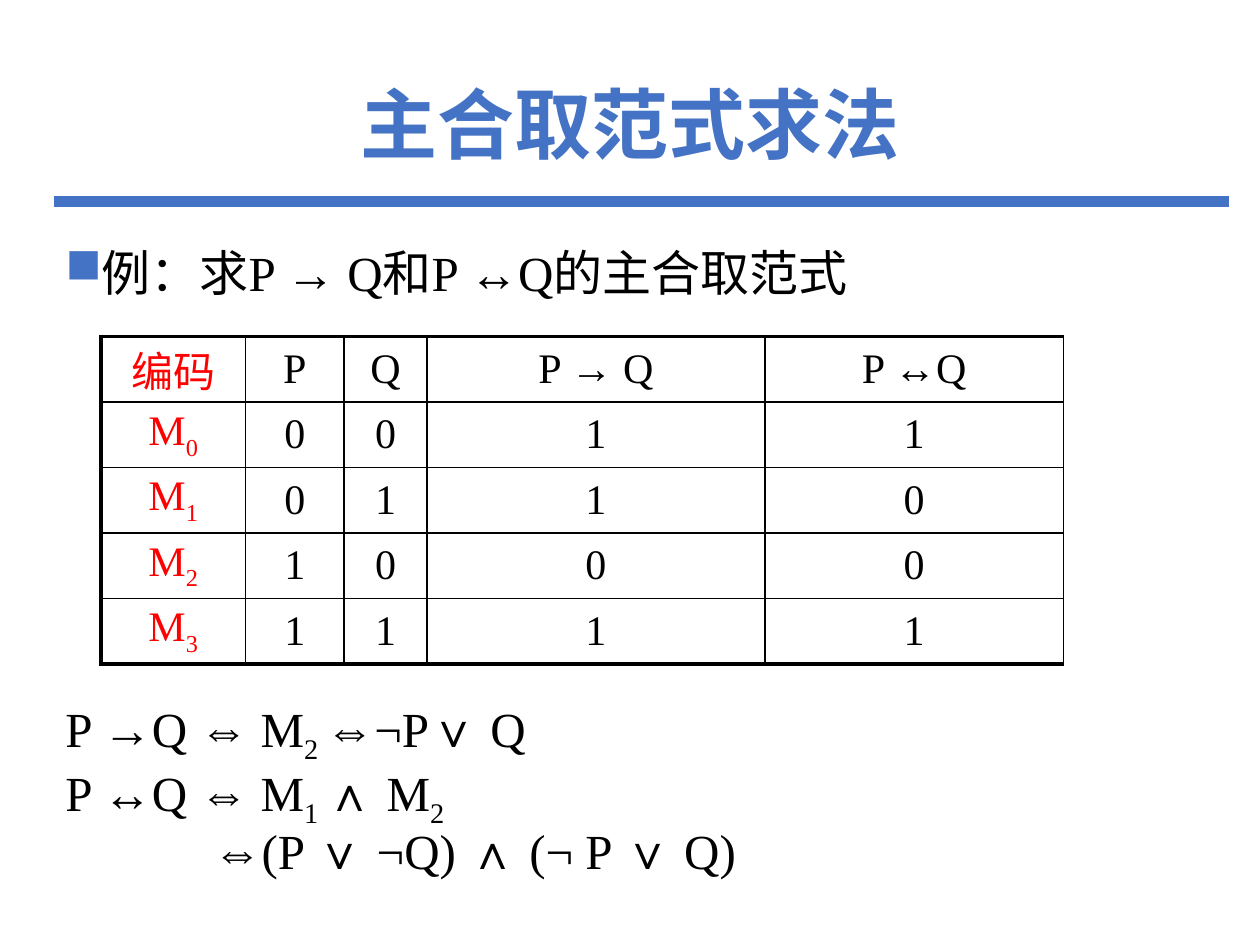
"""Build a slide on finding the principal conjunctive normal form from a truth table."""
import pptx
import pptx.dml.color
import pptx.enum.shapes
import pptx.enum.text
import pptx.oxml
import pptx.oxml.ns
import pptx.util
from pptx.util import Inches

COLORS = {"accent": "4472C4", "ink": "000000", "code": "FF0000"}
LATIN, CJK = "Times New Roman", "Noto Sans CJK SC"
CENTER = pptx.enum.text.PP_ALIGN.CENTER
MIDDLE = pptx.enum.text.MSO_ANCHOR.MIDDLE


def add_xml(parent, xml):
    """Append a DrawingML element given as text."""
    opening, rest = xml.split(" ", 1)
    parent.append(pptx.oxml.parse_xml(f'{opening} {pptx.oxml.ns.nsdecls("a")} {rest}'))


def write(paragraph, marked, size, color="ink", latin=LATIN, bold=False):
    """Fill a paragraph, setting the parts between bars as subscripts."""
    for position, part in enumerate(marked.split("|")):
        if not part:
            continue
        run = paragraph.add_run()
        run.text = part
        for name, value in {"size": pptx.util.Pt(size), "name": latin, "bold": bold}.items():
            setattr(run.font, name, value)
        run.font.color.rgb = pptx.dml.color.RGBColor.from_string(COLORS[color])
        properties = run._r.get_or_add_rPr()
        add_xml(properties, f'<a:ea typeface="{CJK}"/>')
        if position % 2:
            properties.set("baseline", "-25000")


deck = pptx.Presentation()
deck.slide_width, deck.slide_height = Inches(10), Inches(7.5)
slide = deck.slides.add_slide(deck.slide_layouts[5])

title = slide.shapes.title
title_place = {"left": 0.69, "top": 0.4, "width": 8.62, "height": 1.24}
for name, value in title_place.items():
    setattr(title, name, Inches(value))
title.text_frame.vertical_anchor = MIDDLE
heading = title.text_frame.paragraphs[0]
heading.alignment, heading.line_spacing = CENTER, 0.9
write(heading, "主合取范式求法", 44, "accent", CJK, True)

rule = slide.shapes.add_connector(
    pptx.enum.shapes.MSO_CONNECTOR.STRAIGHT, Inches(0.43), Inches(1.6), Inches(9.75), Inches(1.6))
rule.line.width = pptx.util.Pt(6)
rule.line.color.rgb = pptx.dml.color.RGBColor.from_string(COLORS["accent"])
add_xml(rule._element.spPr, "<a:effectLst />")

example = slide.shapes.add_textbox(Inches(0.42), Inches(1.64), Inches(8.98), Inches(0.95))
example.text_frame.word_wrap = True
question = example.text_frame.paragraphs[0]
question.line_spacing = 1.5
bullet = question._p.get_or_add_pPr()
for name, value in {"marL": Inches(0.25), "indent": Inches(-0.25)}.items():
    bullet.set(name, str(value))
add_xml(bullet, f'<a:buClr ><a:srgbClr val="{COLORS["accent"]}"/></a:buClr>')
add_xml(bullet, '<a:buChar char="■"/>')
write(question, "例：求P → Q和P ↔Q的主合取范式", 28)

truth_rows = [
    ["编码", "P", "Q", "P → Q", "P ↔Q"],
    ["M|0", "0", "0", "1", "1"],
    ["M|1", "0", "1", "1", "0"],
    ["M|2", "1", "0", "0", "0"],
    ["M|3", "1", "1", "1", "1"],
]
column_widths = [1.15, 0.78, 0.66, 2.68, 2.37]
row_height = 0.52
truth_table = slide.shapes.add_table(
    len(truth_rows), len(column_widths), Inches(0.8), Inches(2.67),
    Inches(sum(column_widths)), Inches(row_height * len(truth_rows))).table
truth_table.first_row = truth_table.horz_banding = False
for column, width in zip(truth_table.columns, column_widths):
    column.width = Inches(width)
for r, values in enumerate(truth_rows):
    truth_table.rows[r].height = Inches(row_height)
    for c, value in enumerate(values):
        cell = truth_table.cell(r, c)
        cell.vertical_anchor = MIDDLE
        cell.margin_left = cell.margin_right = 0
        cell.margin_top = cell.margin_bottom = Inches(0.02)
        heavy_sides = {"L": c == 0, "R": False, "T": r == 0, "B": r == len(truth_rows) - 1}
        for side, heavy in heavy_sides.items():
            width = pptx.util.Pt(2.25 if heavy else 1)
            add_xml(cell._tc.get_or_add_tcPr(),
                    f'<a:ln{side} w="{width}"><a:solidFill><a:srgbClr val="{COLORS["ink"]}"/>'
                    f'</a:solidFill></a:ln{side}>')
        cell.fill.background()
        entry = cell.text_frame.paragraphs[0]
        entry.alignment = CENTER
        write(entry, value, 24, "ink" if c else "code")

derivation = slide.shapes.add_textbox(Inches(0.42), Inches(5.5), Inches(8.98), Inches(1.6))
derivation.text_frame.word_wrap = True
steps = [
    ("P →Q ⇔ M|2 |⇔¬P∨ Q", 0),
    ("P ↔Q ⇔ M|1 |∧ M|2", 0),
    ("⇔(P ∨ ¬Q) ∧ (¬ P ∨ Q)", 1.17),
]
for number, (formula, indent) in enumerate(steps):
    step = derivation.text_frame.add_paragraph() if number else derivation.text_frame.paragraphs[0]
    step.line_spacing = 0.9
    step.space_before = pptx.util.Pt(2 if number else 0)
    step._p.get_or_add_pPr().set("marL", str(Inches(indent)))
    write(step, formula, 28)

deck.save("out.pptx")
